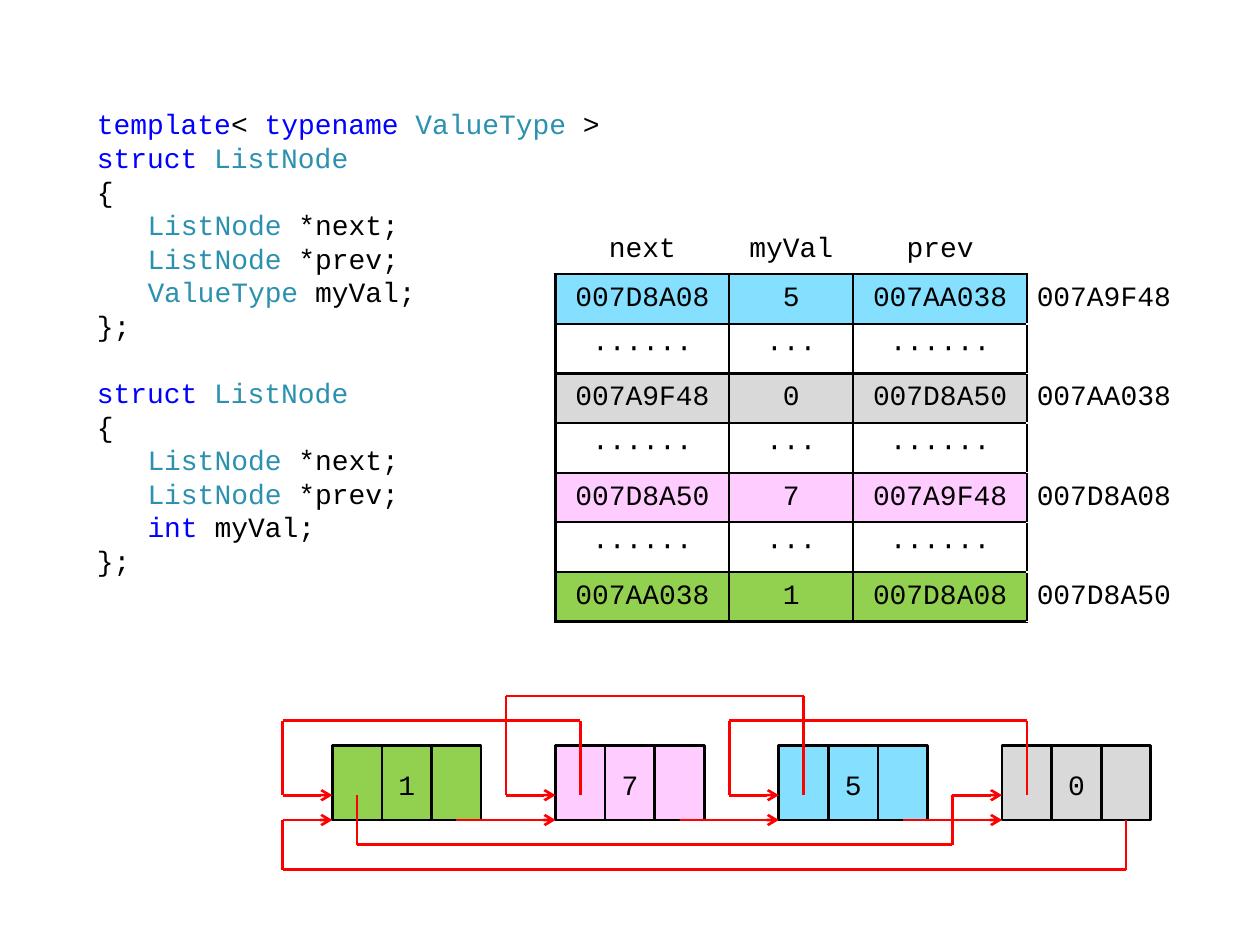
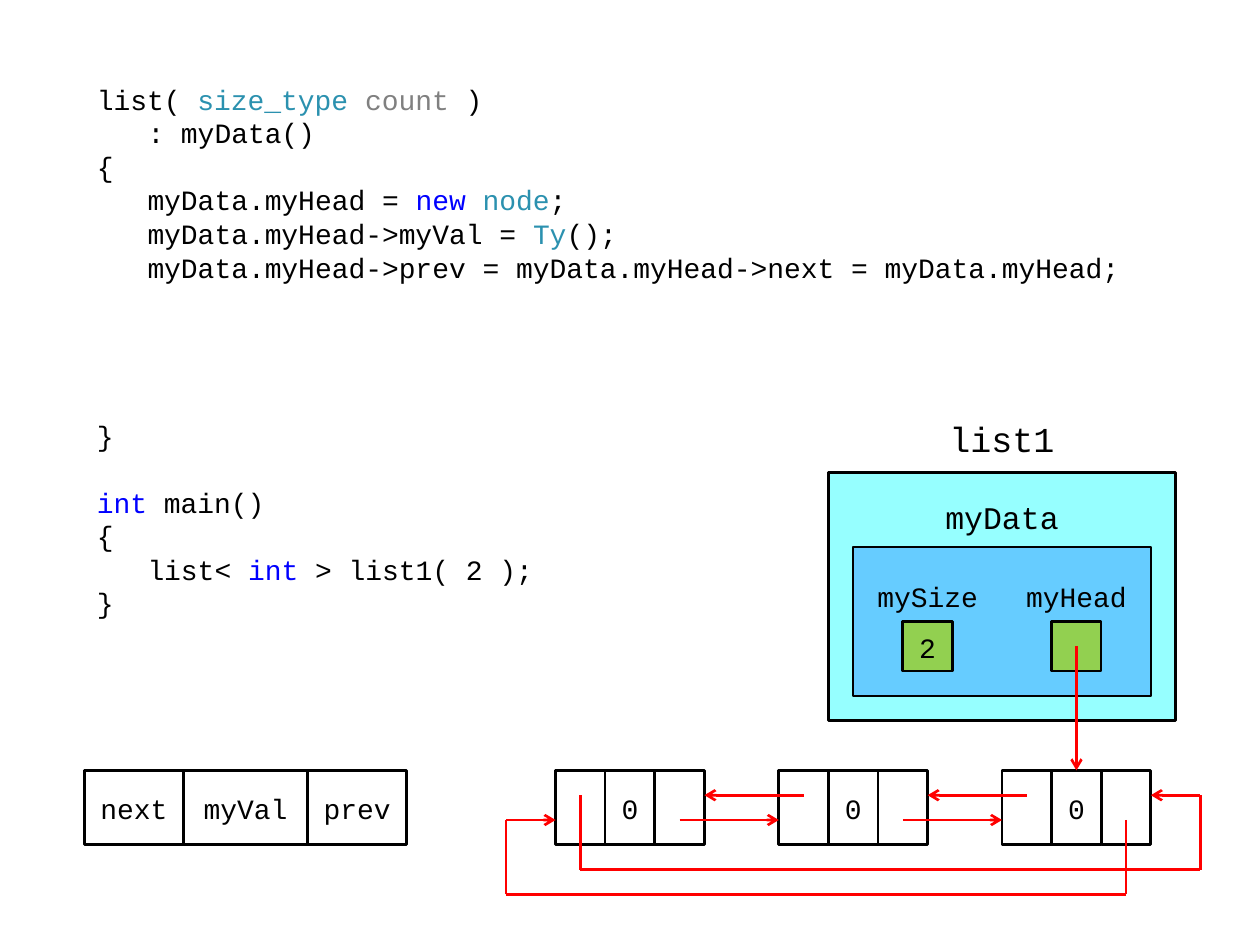
from dataclasses import dataclass
from itertools import pairwise

from lxml.etree import SubElement
from pptx import Presentation
from pptx.dml.color import RGBColor
from pptx.enum.shapes import MSO_CONNECTOR as Conn, MSO_SHAPE as Shape
from pptx.enum.text import MSO_ANCHOR as Anchor, MSO_AUTO_SIZE as AutoSize, PP_ALIGN as Align
from pptx.oxml.ns import qn
from pptx.util import Cm, Pt

# Shared look
FONT = "Courier New"
SIZE = 16
LINE_PT = 19.2
LINE_WIDTH = Pt(1.5)
BLACK, RED = "000000", "FF0000"
BLUE, GREY, PINK, GREEN = "85DFFF", "D9D9D9", "FFCCFF", "92D050"
AQUA, SKY = "96FFFF", "66CCFF"
# Code marks: keyword, type, parameter
MARKS = {"@": "0000FF", "#": "2B91AF", "%": "808080"}
CELL, NODE_H, NODE_STEP = 1, 1.5, 4.5


@dataclass
class CodeLine:
    text: str  # runs split by "|", each may start with a mark
    indent: bool = False
    gap: int = 0  # empty lines above


@dataclass
class Box:
    x: float
    y: float
    w: float
    h: float
    text: str = ""
    fill: str | None = None
    line: str | None = BLACK
    kind: Shape | None = Shape.RECTANGLE  # None gives a text box
    size: int = SIZE
    insets: tuple[float, float, float, float] = (0.25, 0.15, 0.25, 0.1)


@dataclass
class Node:
    x: float
    y: float
    value: str
    fill: str | None = None


def rgb(color: str) -> RGBColor:
    return RGBColor.from_string(color)


def set_all(obj, values: dict) -> None:
    for name, value in values.items():
        setattr(obj, name, value)


def add_run(p, text: str, color: str = BLACK, size: int = SIZE) -> None:
    r = p.add_run()
    r.text = text
    set_all(r.font, {"name": FONT, "size": Pt(size)})
    r.font.color.rgb = rgb(color)


def add_code(s, at: tuple[float, ...], lines: list[CodeLine]) -> None:
    sp = s.placeholders[1]
    set_all(sp, dict(zip(("left", "top", "width", "height"), map(Cm, at))))
    tf = sp.text_frame
    set_all(tf, {"auto_size": AutoSize.NONE, "word_wrap": True})
    for i, line in enumerate(lines):
        p = tf.add_paragraph() if i else tf.paragraphs[0]
        set_all(p, {"line_spacing": Pt(LINE_PT), "space_after": Pt(0),
                    "space_before": Pt(LINE_PT * line.gap)})
        pPr = p._p.get_or_add_pPr()
        pPr.set("marL", str(Cm(1.02 if line.indent else 0)))
        pPr.set("indent", "0")
        SubElement(pPr, qn("a:buNone"))
        for part in line.text.split("|"):
            marked = part[0] in MARKS
            add_run(p, part[1:] if marked else part, MARKS.get(part[0], BLACK))


def add_box(s, box: Box) -> None:
    at = [Cm(v) for v in (box.x, box.y, box.w, box.h)]
    if box.kind is None:
        sp = s.shapes.add_textbox(*at)
    else:
        sp = s.shapes.add_shape(box.kind, *at)
        sp.shadow.inherit = False
    if box.fill:
        sp.fill.solid()
        sp.fill.fore_color.rgb = rgb(box.fill)
    else:
        sp.fill.background()
    if box.line:
        sp.line.color.rgb = rgb(box.line)
        sp.line.width = LINE_WIDTH
    else:
        sp.line.fill.background()
    if box.text:
        tf = sp.text_frame
        sides = ("margin_left", "margin_top", "margin_right", "margin_bottom")
        set_all(tf, {"word_wrap": True, "vertical_anchor": Anchor.MIDDLE,
                     **dict(zip(sides, map(Cm, box.insets)))})
        p = tf.paragraphs[0]
        p.alignment = Align.CENTER
        add_run(p, box.text, size=box.size)


def add_row(s, x: float, y: float, widths: list[float], texts: list[str],
            fill: str | None = None) -> None:
    for w, text in zip(widths, texts):
        add_box(s, Box(x, y, w, NODE_H, text, fill))
        x += w


def add_route(s, *points: tuple[float, float]) -> None:
    """Draw joined lines with an arrowhead at the last point."""
    for (x1, y1), (x2, y2) in pairwise(points):
        c = s.shapes.add_connector(Conn.STRAIGHT, Cm(x1), Cm(y1), Cm(x2), Cm(y2))
        c.line.color.rgb = rgb(RED)
        c.line.width = LINE_WIDTH
        if (x2, y2) == points[-1]:
            SubElement(c.line._ln, qn("a:tailEnd"), type="arrow")
        SubElement(c._element.spPr, qn("a:effectLst"))


def add_nodes(s, nodes: list[Node], low: float) -> None:
    """Draw the cells and the straight arrows between neighbours at height low."""
    for n in nodes:
        add_row(s, n.x, n.y, [CELL] * 3, ["", n.value, ""], n.fill)
    for a, b in pairwise(nodes):
        add_route(s, (a.x + 2.5, low), (b.x, low))


def add_border(cell, sides: str) -> None:
    tcPr = cell._tc.get_or_add_tcPr()
    for i, side in enumerate(side for side in "LRTB" if side in sides):
        ln = tcPr.makeelement(qn(f"a:ln{side}"), {"w": str(LINE_WIDTH)})
        fill = SubElement(ln, qn("a:solidFill"))
        SubElement(fill, qn("a:srgbClr"), val=BLACK)
        tcPr.insert(i, ln)


def add_memory_table(s, x: float, y: float, rows: list[tuple]) -> None:
    """Each row is a fill followed by its cell texts; the first row is the header."""
    widths = [3.5, 2.5, 3.5, 3.5]
    table = s.shapes.add_table(len(rows), len(widths), Cm(x), Cm(y),
                               Cm(sum(widths)), Cm(len(rows))).table
    set_all(table, {"first_row": False, "horz_banding": False})
    for col, w in zip(table.columns, widths):
        col.width = Cm(w)
    for i, (fill, *texts) in enumerate(rows):
        table.rows[i].height = Cm(1)
        for j, text in enumerate(texts):
            cell = table.cell(i, j)
            is_address = j == 3
            side = Cm(0.25 if j == 1 else 0.2)
            set_all(cell, {"margin_left": side, "margin_right": side, "margin_top": 0,
                           "margin_bottom": 0, "vertical_anchor": Anchor.MIDDLE})
            if fill and not is_address:
                cell.fill.solid()
                cell.fill.fore_color.rgb = rgb(fill)
            else:
                cell.fill.background()
            if is_address:
                add_border(cell, "L" if i else "")
            else:
                add_border(cell, "LRTB" if i else "B")
            p = cell.text_frame.paragraphs[0]
            p.alignment = Align.LEFT if is_address else Align.CENTER
            if text:
                add_run(p, text)


def add_slide(prs):
    s = prs.slides.add_slide(prs.slide_layouts[1])
    title = s.shapes.title._element
    title.getparent().remove(title)
    return s


def struct_lines(value_line: str, gap: int = 0) -> list[CodeLine]:
    return [
        CodeLine("@struct |#ListNode", gap=gap),
        CodeLine("{"),
        CodeLine("#ListNode| *next;", True),
        CodeLine("#ListNode| *prev;", True),
        CodeLine(value_line, True),
        CodeLine("};"),
    ]


def node_slide(prs) -> None:
    s = add_slide(prs)
    add_code(s, (1.7, 2.03, 11, 10), [
        CodeLine("@template|< |@typename |#ValueType| >"),
        *struct_lines("#ValueType |myVal;"),
        *struct_lines("@int| myVal;", gap=1),
    ])

    # Memory layout
    dots = (None, "······", "···", "······", "")
    add_memory_table(s, 11.2, 4.53, [
        (None, "next", "myVal", "prev", ""),
        (BLUE, "007D8A08", "5", "007AA038", "007A9F48"),
        dots,
        (GREY, "007A9F48", "0", "007D8A50", "007AA038"),
        dots,
        (PINK, "007D8A50", "7", "007A9F48", "007D8A08"),
        dots,
        (GREEN, "007AA038", "1", "007D8A08", "007D8A50"),
    ])

    # Linked nodes
    y = 15.03
    high, low = y + 1, y + 1.5
    values = [("1", GREEN), ("7", PINK), ("5", BLUE), ("0", GREY)]
    nodes = [Node(6.7 + NODE_STEP * i, y, *v) for i, v in enumerate(values)]
    add_nodes(s, nodes, low)
    for (a, b), top in zip(pairwise(nodes), (y - 0.5, y - 1, y - 0.5)):
        start, turn = b.x + 0.5, a.x - 1
        add_route(s, (start, high), (start, top), (turn, top), (turn, high), (a.x, high))

    # Links that close the ring
    first, last = nodes[0].x, nodes[-1].x
    add_route(s, (first + 0.5, high), (first + 0.5, y + 2), (last - 1, y + 2),
              (last - 1, high), (last, high))
    add_route(s, (last + 2.5, low), (last + 2.5, y + 2.5), (first - 1, y + 2.5),
              (first - 1, low), (first, low))


def list_slide(prs) -> None:
    s = add_slide(prs)
    add_code(s, (1.7, 1.53, 22, 11), [
        CodeLine("list( |#size_type |%count| )"),
        CodeLine(": myData()", True),
        CodeLine("{"),
        CodeLine("myData.myHead = |@new |#node|;", True),
        CodeLine("myData.myHead->myVal = |#Ty|();", True),
        CodeLine("myData.myHead->prev = myData.myHead->next = myData.myHead;", True),
        CodeLine("}", gap=4),
        CodeLine("@int| main()", gap=1),
        CodeLine("{"),
        CodeLine("list< |@int| > list1( 2 );", True),
        CodeLine("}"),
    ])

    # Node legend and linked nodes
    y = 15.53
    high, low = y + 0.5, y + 1
    add_row(s, 1.7, y, [2, 2.5, 2], ["next", "myVal", "prev"])
    nodes = [Node(11.2 + NODE_STEP * i, y, "0") for i in range(3)]
    add_nodes(s, nodes, low)
    for a, b in pairwise(nodes):
        add_route(s, (b.x + 0.5, high), (a.x + 3, high))

    # Links that close the ring
    first, last = nodes[0].x, nodes[-1].x
    add_route(s, (first + 0.5, high), (first + 0.5, y + 2), (last + 4, y + 2),
              (last + 4, high), (last + 3, high))
    add_route(s, (last + 2.5, low), (last + 2.5, y + 2.5), (first - 1, y + 2.5),
              (first - 1, low), (first, low))

    # The list object
    process = Shape.FLOWCHART_PROCESS
    member = {"line": None, "kind": process, "insets": (0.1, 0.13, 0.1, 0.13)}
    label = {"line": None, "kind": None}
    for box in (
        Box(18.7, 8.03, 3, 1.5, "list1", size=20, insets=(0.2, 0.1, 0.2, 0), **label),
        Box(16.7, 9.53, 7, 5, fill=AQUA, kind=process),
        Box(17.2, 11.03, 6, 3, fill=SKY, kind=process),
        Box(20.2, 11.53, 3, 1, "myHead", **member),
        Box(21.2, 12.53, 1, 1, fill=GREEN),
        Box(18.2, 12.53, 1, 1, "2", fill=GREEN),
        Box(17.2, 11.53, 3, 1, "mySize", **member),
        Box(18.7, 9.53, 3, 1.5, "myData", size=18, insets=(0.2, 0.3, 0.2, 0), **label),
    ):
        add_box(s, box)
    add_route(s, (21.7, 13.03), (21.7, y))


def main() -> None:
    prs = Presentation()
    set_all(prs, {"slide_width": Cm(25.4), "slide_height": Cm(19.05)})
    node_slide(prs)
    list_slide(prs)
    prs.save("out.pptx")


if __name__ == "__main__":
    main()
